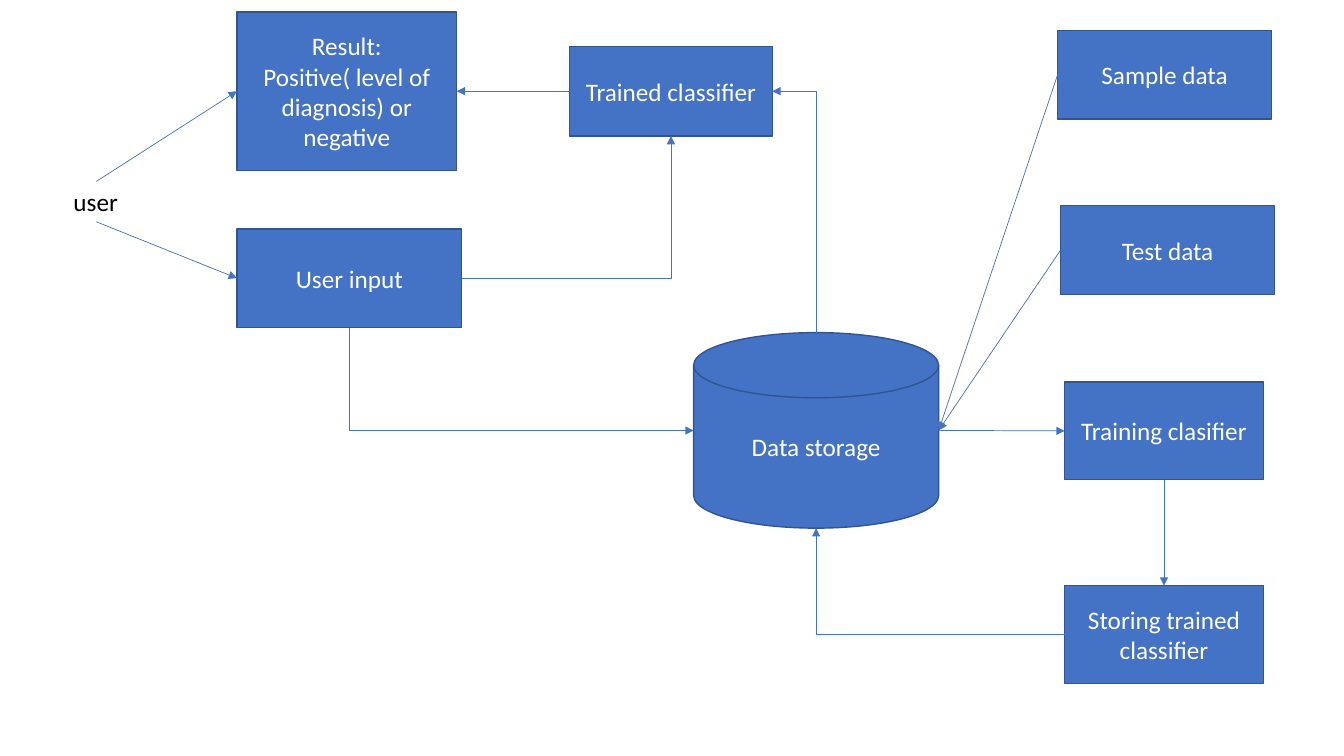
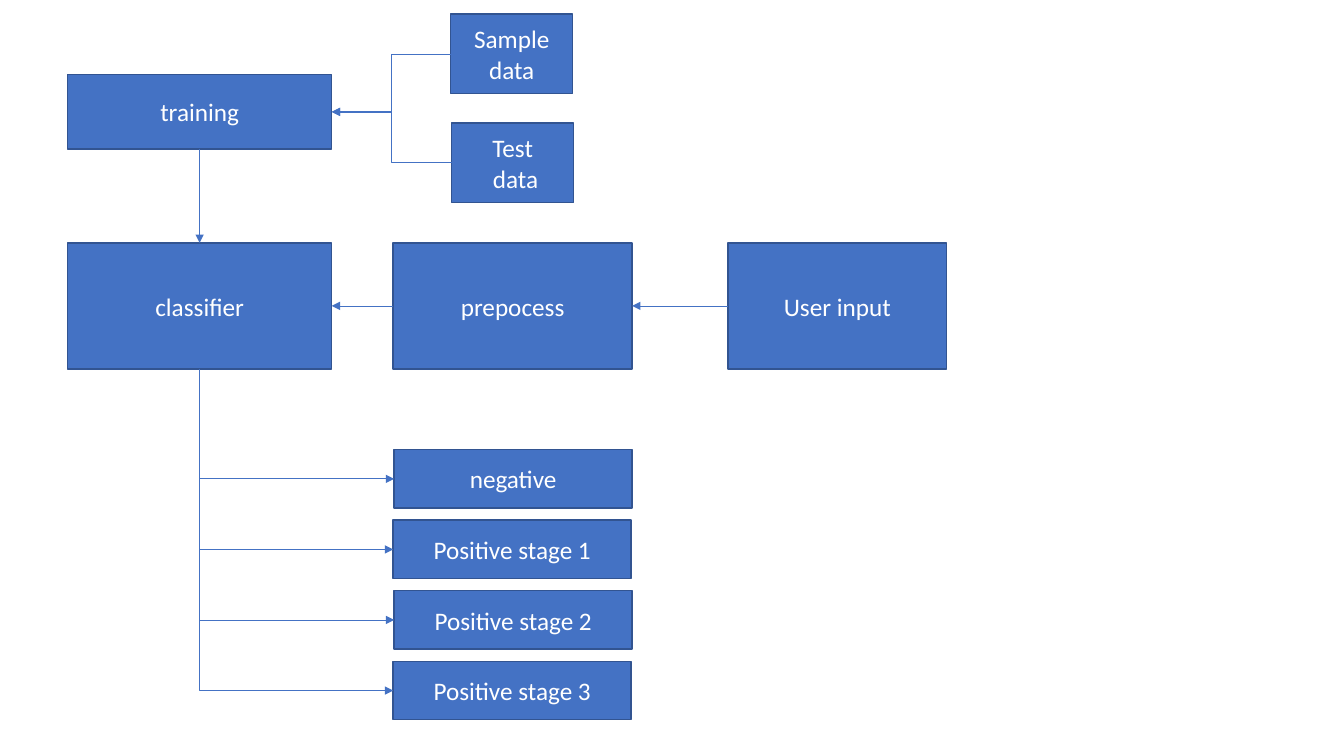
from lxml.etree import SubElement
from pptx import Presentation
from pptx.dml.color import RGBColor
from pptx.enum.shapes import MSO_CONNECTOR as Link, MSO_SHAPE as Preset
from pptx.enum.text import MSO_ANCHOR as Anchor, MSO_AUTO_SIZE as AutoSize, PP_ALIGN as Align
from pptx.oxml.ns import qn
from pptx.util import Inches, Pt

BLUE, EDGE, WHITE, BLACK = "4472C4", "325491", "FFFFFF", "000000"
FONT = {"name": "Calibri", "size": Pt(18)}
TOP, LEFT, BOTTOM, RIGHT = range(4)


def colour(value):
    return RGBColor.from_string(value)


def set_text(box, text, ink, align):
    box.text_frame.text = text
    for para in box.text_frame.paragraphs:
        para.alignment = align
        for span in para.runs:
            for key, value in FONT.items():
                setattr(span.font, key, value)
            span.font.color.rgb = colour(ink)


def set_line(line, value, width):
    line.color.rgb = colour(value)
    line.width = Pt(width)


def add_box(page, text, left, top, width, height, preset=Preset.RECTANGLE):
    box = page.shapes.add_shape(preset, *map(Inches, (left, top, width, height)))
    box.shadow.inherit = False
    box.fill.solid()
    box.fill.fore_color.rgb = colour(BLUE)
    set_line(box.line, EDGE, 1)
    box.text_frame.word_wrap = True
    box.text_frame.vertical_anchor = Anchor.MIDDLE
    set_text(box, text, WHITE, Align.CENTER)
    return box


def add_label(page, text, left, top, width, height):
    label = page.shapes.add_textbox(*map(Inches, (left, top, width, height)))
    label.text_frame.word_wrap = False
    label.text_frame.auto_size = AutoSize.SHAPE_TO_FIT_TEXT
    set_text(label, text, BLACK, Align.LEFT)
    return label


def site_index(shape, side):
    """A magnetic disk has one extra connection site before its four sides."""
    is_disk = shape.name.startswith("Flowchart")
    return side + 1 if is_disk else side


def turn_corner(arrow, start_side):
    """Give an elbow a single bend, leaving along the direction of its start side."""
    properties = arrow._element.spPr
    properties.find(qn("a:prstGeom")).set("prst", "bentConnector2")
    if start_side in (LEFT, RIGHT):
        return
    across, down = arrow.end_x - arrow.begin_x, arrow.end_y - arrow.begin_y
    middle_x, middle_y = arrow.begin_x + across // 2, arrow.begin_y + down // 2
    arrow.width, arrow.height = abs(down), abs(across)
    arrow.left = middle_x - arrow.width // 2
    arrow.top = middle_y - arrow.height // 2
    frame = properties.find(qn("a:xfrm"))
    frame.set("rot", str((90 if down > 0 else 270) * 60000))
    frame.set("flipH", "0")
    frame.set("flipV", "1" if (down > 0) == (across > 0) else "0")


def add_arrow(page, start, start_side, end, end_side, kind=Link.STRAIGHT):
    arrow = page.shapes.add_connector(kind, 0, 0, 0, 0)
    arrow.begin_connect(start, start_side)
    arrow.end_connect(end, end_side)
    joints = arrow._element.nvCxnSpPr.cNvCxnSpPr
    joints.stCxn.idx = site_index(start, start_side)
    joints.endCxn.idx = site_index(end, end_side)
    if kind == Link.ELBOW and start_side % 2 != end_side % 2:
        turn_corner(arrow, start_side)
    set_line(arrow.line, BLUE, 0.5)
    SubElement(arrow.line._get_or_add_ln(), qn("a:tailEnd"), type="triangle")
    SubElement(arrow._element.spPr, qn("a:effectLst"))


def add_system_page(page):
    user = add_label(page, "user", 0.63, 1.8, 0.65, 0.4)
    user_input = add_box(page, "User input", 2.35, 2.27, 2.23, 0.98)
    result = add_box(page, "Result:\nPositive( level of diagnosis) or negative", 2.35, 0.12, 2.18, 1.57)
    trained = add_box(page, "Trained classifier", 5.65, 0.46, 2.01, 0.89)
    storage = add_box(page, "Data storage", 6.88, 3.3, 2.43, 1.94, Preset.FLOWCHART_MAGNETIC_DISK)
    sample = add_box(page, "Sample data", 10.49, 0.3, 2.12, 0.88)
    test = add_box(page, "Test data", 10.52, 2.04, 2.12, 0.88)
    training = add_box(page, "Training clasifier", 10.56, 3.79, 1.97, 0.97)
    storing = add_box(page, "Storing trained classifier", 10.56, 5.81, 1.97, 0.97)

    for link in (
        (user, TOP, result, LEFT),
        (user, BOTTOM, user_input, LEFT),
        (user_input, RIGHT, trained, BOTTOM, Link.ELBOW),
        (trained, LEFT, result, RIGHT),
        (storage, RIGHT, training, LEFT),
        (training, BOTTOM, storing, TOP),
        (storing, LEFT, storage, BOTTOM, Link.ELBOW),
        (storage, TOP, trained, RIGHT, Link.ELBOW),
        (user_input, BOTTOM, storage, LEFT, Link.ELBOW),
        (sample, LEFT, storage, RIGHT),
        (test, LEFT, storage, RIGHT),
    ):
        add_arrow(page, *link)


def add_classifier_page(page):
    sample = add_box(page, "Sample data", 4.47, 0.14, 1.21, 0.79)
    test = add_box(page, "Test\n data", 4.48, 1.22, 1.21, 0.79)
    training = add_box(page, "training", 0.67, 0.74, 2.62, 0.74)
    classifier = add_box(page, "classifier", 0.67, 2.41, 2.62, 1.25)
    preprocess = add_box(page, "prepocess", 3.9, 2.41, 2.37, 1.25)
    user_input = add_box(page, "User input", 7.22, 2.41, 2.17, 1.25)

    for link in (
        (preprocess, LEFT, classifier, RIGHT),
        (user_input, LEFT, preprocess, RIGHT),
        (sample, LEFT, training, RIGHT, Link.ELBOW),
        (test, LEFT, training, RIGHT, Link.ELBOW),
        (training, BOTTOM, classifier, TOP),
    ):
        add_arrow(page, *link)

    outcomes = ["negative"] + [f"Positive stage {stage}" for stage in (1, 2, 3)]
    for row, text in enumerate(outcomes):
        left = 3.9 if row % 2 else 3.91
        outcome = add_box(page, text, left, 4.46 + row * 0.7, 2.36, 0.58)
        add_arrow(page, classifier, BOTTOM, outcome, LEFT, Link.ELBOW)


def main():
    deck = Presentation()
    deck.slide_width, deck.slide_height = Inches(13.33), Inches(7.5)
    for build in (add_system_page, add_classifier_page):
        build(deck.slides.add_slide(deck.slide_layouts[6]))
    deck.save("out.pptx")


if __name__ == "__main__":
    main()
